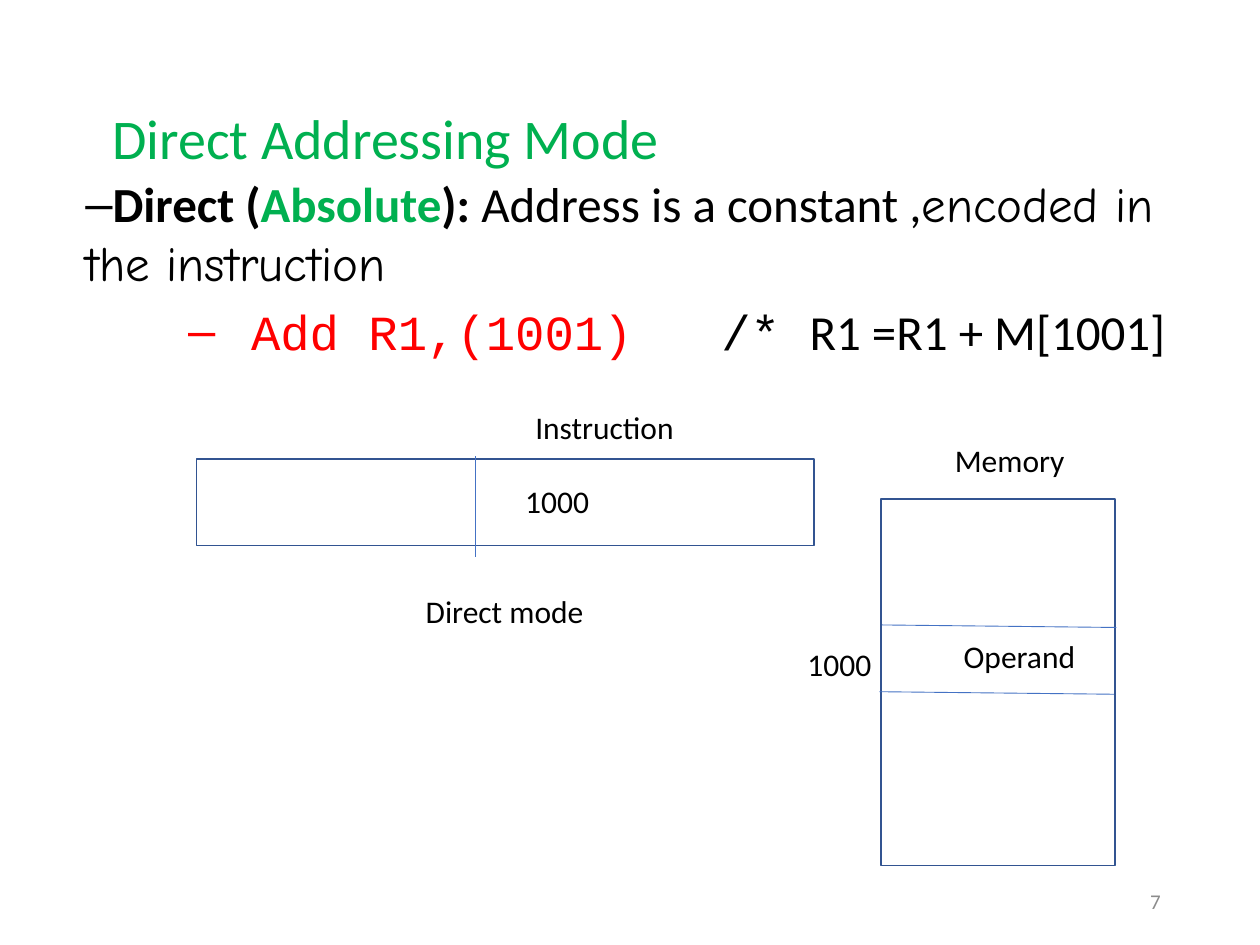
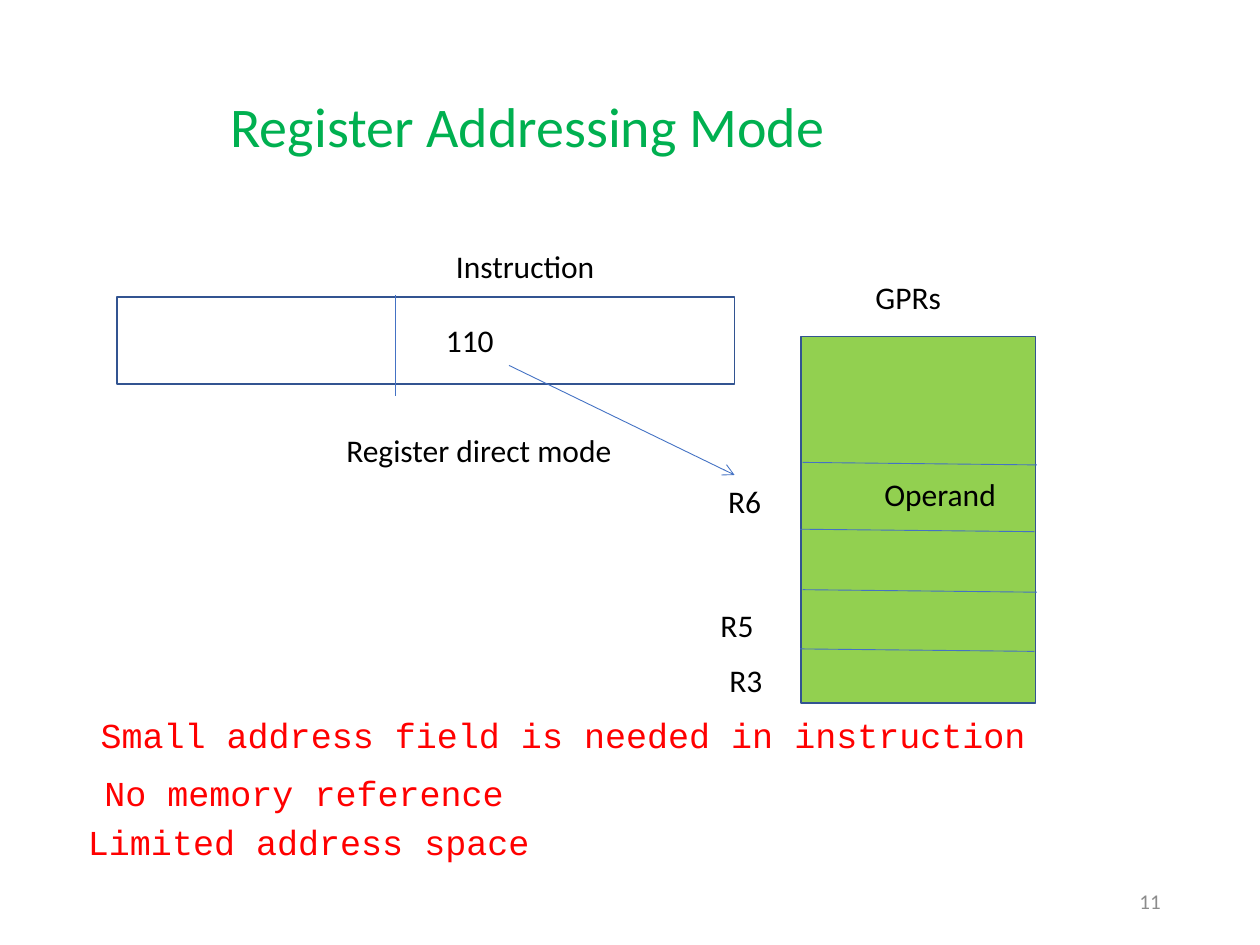
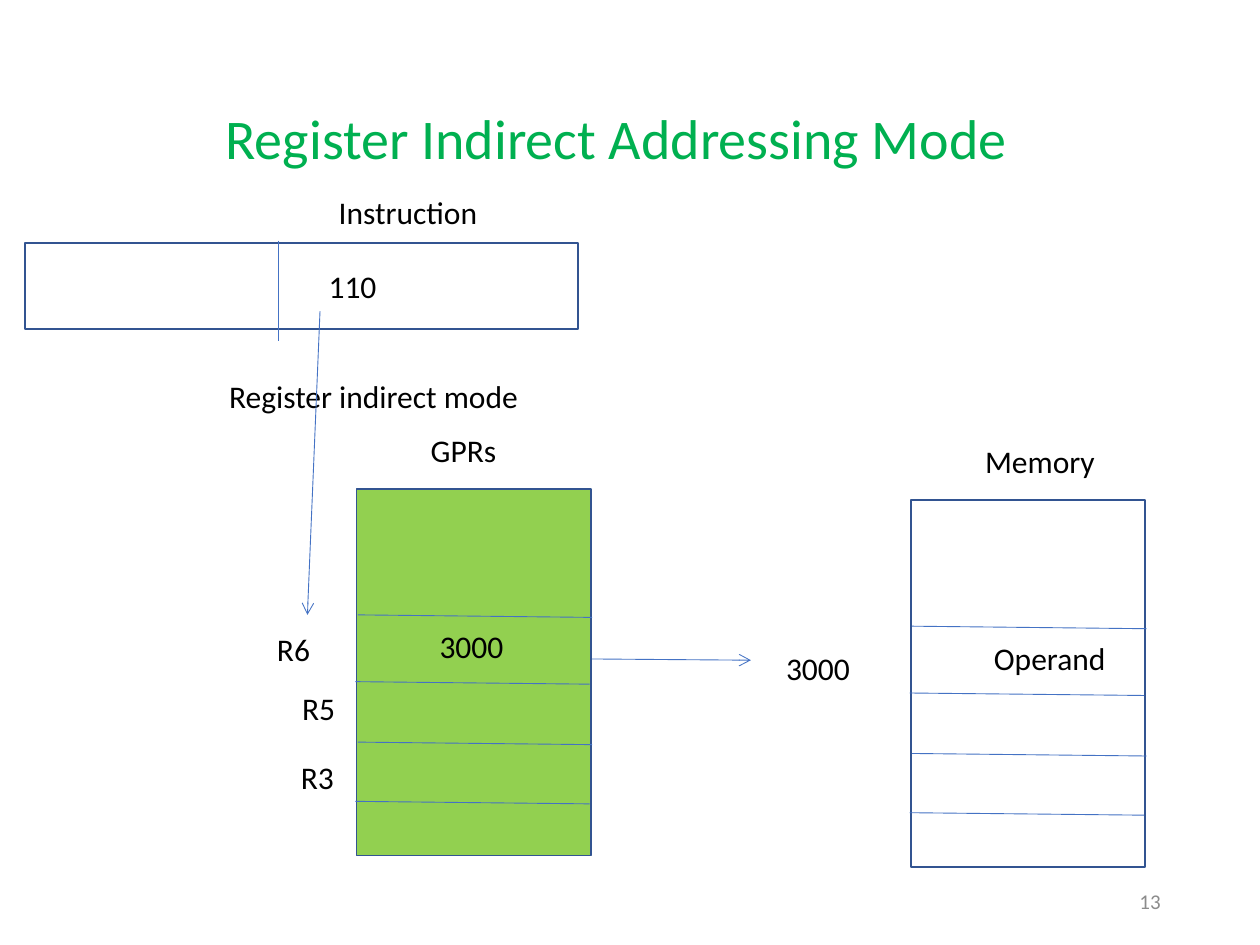
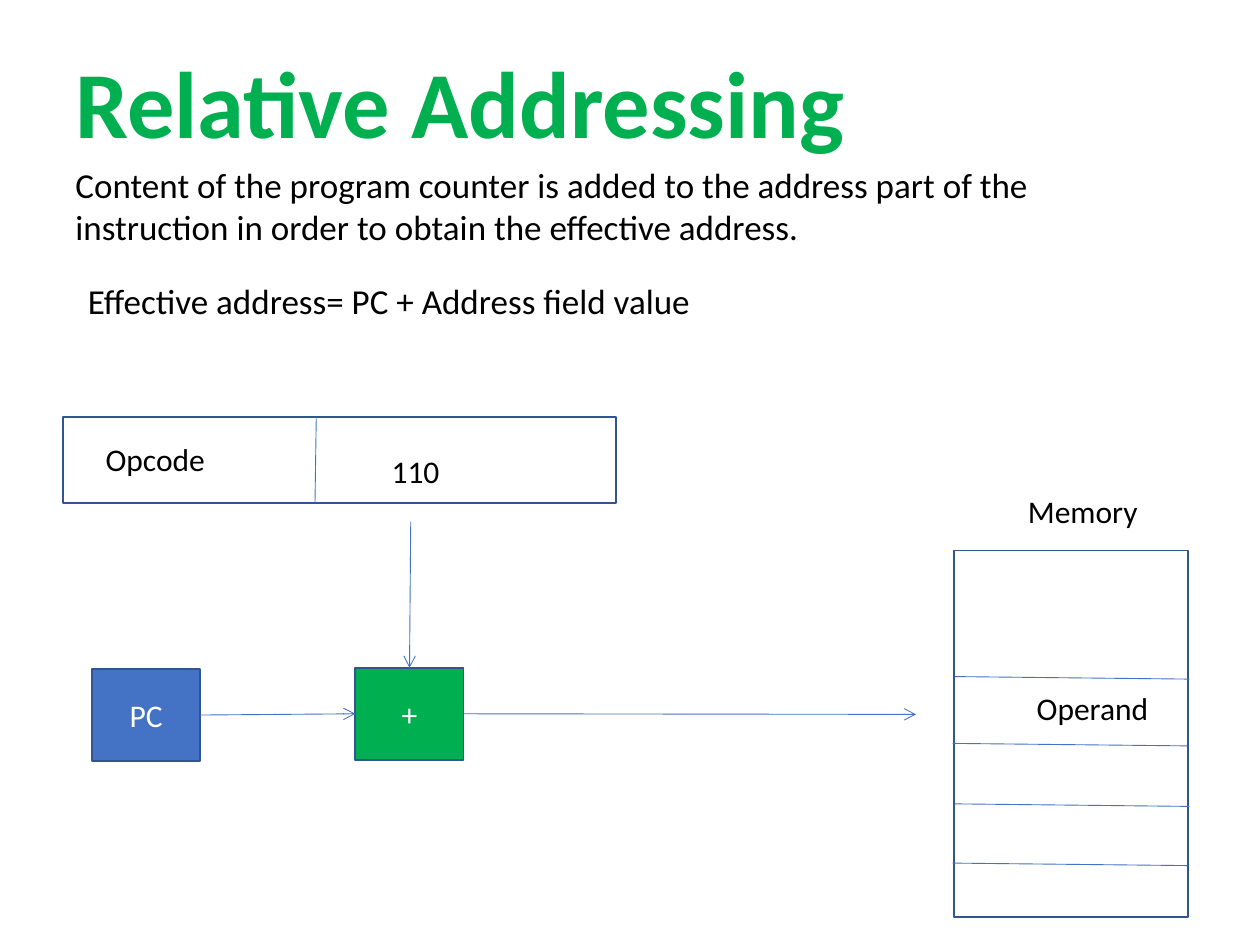
from dataclasses import dataclass
from typing import Any, NamedTuple, Optional

from lxml.etree import SubElement
from pptx import Presentation
from pptx.dml.color import RGBColor
from pptx.enum.shapes import MSO_CONNECTOR, MSO_SHAPE
from pptx.enum.text import MSO_ANCHOR as Anchor, MSO_AUTO_SIZE as AutoSize, PP_ALIGN as Align
from pptx.oxml.ns import qn
from pptx.util import Emu, Pt

EMU_PER_PX = 9144  # 100 px to the inch
BLANK_LAYOUT = 6
BLACK, WHITE, RED, GREY = "000000", "FFFFFF", "FF0000", "8C8C8C"
GREEN, LIME, BLUE, OUTLINE = "00B050", "92D050", "4472C4", "325491"
CODE_FONT = "Courier New"


class Box(NamedTuple):
    left: int
    top: int
    width: int
    height: int


class Style(NamedTuple):
    size: int = 18
    color: str = BLACK
    font: str = "Calibri"
    bold: bool = False


LABEL = Style()
TITLE = Style(32, GREEN)
BIG_TITLE = Style(54, GREEN, bold=True)
BODY = Style(20)
NOTE = Style(20, RED, CODE_FONT)
PAGE_NUMBER = Style(12, GREY)
LEAD = Style(28)


@dataclass
class Instruction:
    box: Box
    divider: int
    value: str
    value_width: int
    mode: str


@dataclass
class Storage:
    """A column of memory cells or registers."""
    left: int
    top: int
    heading: str
    cell: str
    fill: str = WHITE
    dividers: tuple[int, ...] = (100, 153, 201, 248)


def px(length: int) -> Emu:
    return Emu(length * EMU_PER_PX)


def rgb(color: str) -> RGBColor:
    return RGBColor.from_string(color)


def set_values(target: Any, values: dict[str, Any]) -> None:
    for name, value in values.items():
        setattr(target, name, value)


def add_run(paragraph: Any, text: str, style: Style) -> None:
    run = paragraph.add_run()
    run.text = text
    set_values(run.font, {"size": Pt(style.size), "name": style.font, "bold": style.bold})
    run.font.color.rgb = rgb(style.color)


def add_text(slide: Any, box: Box, text: str, style: Style = LABEL,
             frame_values: Optional[dict[str, Any]] = None,
             paragraph_values: Optional[dict[str, Any]] = None) -> Any:
    frame = slide.shapes.add_textbox(*map(px, box)).text_frame
    set_values(frame, {"word_wrap": True, **(frame_values or {})})
    paragraph = frame.paragraphs[0]
    set_values(paragraph, paragraph_values or {})
    if text:
        add_run(paragraph, text, style)
    return frame


def add_label(slide: Any, left: int, top: int, text: str, width: int, wrap: bool = False) -> None:
    add_text(slide, Box(left, top, width, 40), text,
             frame_values={"word_wrap": wrap, "auto_size": AutoSize.SHAPE_TO_FIT_TEXT})


def add_title(slide: Any, box: Box, text: str, style: Style = TITLE, indent: int = 0) -> None:
    add_text(slide, box, text, style,
             {"vertical_anchor": Anchor.MIDDLE, "margin_left": px(10 + indent)},
             {"line_spacing": 0.9})


def add_page_number(slide: Any, number: int) -> None:
    add_text(slide, Box(706, 695, 225, 40), str(number), PAGE_NUMBER,
             {"vertical_anchor": Anchor.MIDDLE}, {"alignment": Align.RIGHT})


def add_rectangle(slide: Any, box: Box, fill: str = WHITE, text: str = "") -> Any:
    shape = slide.shapes.add_shape(MSO_SHAPE.RECTANGLE, *map(px, box))
    shape.shadow.inherit = False
    shape.fill.solid()
    shape.fill.fore_color.rgb = rgb(fill)
    shape.line.color.rgb = rgb(OUTLINE)
    shape.line.width = Pt(1)
    if text:
        shape.text_frame.vertical_anchor = Anchor.MIDDLE
        paragraph = shape.text_frame.paragraphs[0]
        paragraph.alignment = Align.CENTER
        add_run(paragraph, text, Style(color=WHITE))
    return shape


def add_line(slide: Any, start: tuple[int, int], end: tuple[int, int], arrow: bool = False) -> Any:
    line = slide.shapes.add_connector(MSO_CONNECTOR.STRAIGHT, *map(px, start + end))
    line.line.color.rgb = rgb(BLUE)
    line.line.width = Pt(0.5)
    if arrow:
        SubElement(line.line._get_or_add_ln(), qn("a:tailEnd"), type="arrow")
    SubElement(line._element.spPr, qn("a:effectLst"))
    return line


def add_instruction(slide: Any, instruction: Instruction) -> None:
    box = instruction.box
    divider = box.left + instruction.divider
    add_rectangle(slide, box)
    add_line(slide, (divider, box.top - 2), (divider, box.top + 78))
    add_label(slide, divider + 30, box.top + 14, instruction.value, instruction.value_width)
    add_label(slide, divider + 38, box.top - 45, "Instruction", 147, wrap=True)
    add_label(slide, divider - 49, box.top + 101, instruction.mode, 251, wrap=True)


def add_storage(slide: Any, storage: Storage) -> None:
    left, top = storage.left, storage.top
    add_rectangle(slide, Box(left, top, 186, 291), storage.fill)
    for index, offset in enumerate(storage.dividers):
        start = left + (-1 if index % 2 else 1)
        add_line(slide, (start, top + offset), (start + 186, top + offset + 2))
    add_label(slide, left + 56, top + 105, storage.cell, 110, wrap=True)
    add_label(slide, left + 49, top - 51, storage.heading, 114 if storage.heading == "Memory" else 73)


def add_bullet(paragraph: Any, margin: int) -> None:
    paragraph.level = 1
    properties = paragraph._p.get_or_add_pPr()
    properties.set("marL", str(px(margin)))
    properties.set("indent", str(px(-31)))
    SubElement(properties, qn("a:buFont"), typeface="Arial")
    SubElement(properties, qn("a:buChar"), char="–")


def build_direct(slide: Any) -> None:
    add_title(slide, Box(69, 40, 862, 145), "Direct Addressing Mode", indent=10)
    frame = add_text(slide, Box(58, 133, 908, 575), "")
    definition, example = frame.paragraphs[0], frame.add_paragraph()
    add_bullet(definition, 0)
    add_bullet(example, 81)
    set_values(example, {"alignment": Align.CENTER, "space_before": Pt(5.6)})
    strong = LEAD._replace(bold=True)
    code = LEAD._replace(font=CODE_FONT)
    for paragraph, text, style in (
        (definition, "Direct (", strong),
        (definition, "Absolute", strong._replace(color=GREEN)),
        (definition, "): ", strong),
        (definition, "Address is a constant ,", LEAD),
        (definition, "encoded in the instruction", LEAD._replace(font="Comic Neue")),
        (example, "\tAdd R1,(1001)", code._replace(color=RED)),
        (example, "\t /* ", code),
        (example, "R1 =R1 + M[1001]", LEAD),
    ):
        add_run(paragraph, text, style)
    add_storage(slide, Storage(699, 396, "Memory", "Operand", dividers=(100, 153)))
    add_instruction(slide, Instruction(Box(156, 364, 490, 69), 221, "1000", 72, "Direct mode"))
    add_label(slide, 631, 507, "1000", 72)
    add_page_number(slide, 7)


def build_register(slide: Any) -> None:
    add_title(slide, Box(73, 30, 862, 145), "Register Addressing Mode", indent=100)
    add_storage(slide, Storage(636, 267, "GPRs", "Operand", LIME))
    add_instruction(slide, Instruction(Box(93, 236, 490, 69), 221, "110", 60, "Register direct mode"))
    for left, top, register in ((568, 378, "R6"), (562, 476, "R5"), (569, 520, "R3")):
        add_label(slide, left, top, register, 47)
    add_line(slide, (404, 290), (583, 377), arrow=True)
    for left, top, note in (
        (70, 561, "Small address field is needed in instruction"),
        (73, 607, "No memory reference"),
        (60, 646, "Limited address space"),
    ):
        add_text(slide, Box(left, top, 900, 44), note, NOTE, paragraph_values={"alignment": Align.JUSTIFY})
    add_page_number(slide, 11)


def build_register_indirect(slide: Any) -> None:
    add_title(slide, Box(69, 40, 862, 145), "Register Indirect Addressing Mode", indent=100)
    add_storage(slide, Storage(283, 388, "GPRs", "3000", LIME))
    add_instruction(slide, Instruction(Box(20, 193, 439, 68), 201, "110", 60, "Register indirect mode"))
    for left, top, register in ((210, 495, "R6"), (230, 542, "R5"), (229, 597, "R3")):
        add_label(slide, left, top, register, 47)
    add_line(slide, (254, 247), (244, 488), arrow=True)
    add_storage(slide, Storage(723, 397, "Memory", "Operand"))
    add_label(slide, 614, 510, "3000", 77)
    add_line(slide, (470, 523), (596, 524), arrow=True)
    add_page_number(slide, 13)


def build_relative(slide: Any) -> None:
    add_title(slide, Box(50, 30, 900, 112), "Relative Addressing", BIG_TITLE)
    add_text(slide, Box(50, 125, 883, 77),
             "Content of the program counter is added to the address part of the "
             "instruction in order to obtain the effective address.", BODY)
    add_text(slide, Box(60, 217, 883, 44), "Effective address= PC + Address field value", BODY)
    add_rectangle(slide, Box(50, 331, 439, 68))
    add_line(slide, (251, 332), (250, 399))
    add_label(slide, 74, 344, "Opcode", 106)
    add_label(slide, 301, 354, "110", 60)
    add_storage(slide, Storage(757, 437, "Memory", "Operand"))
    counter = add_rectangle(slide, Box(73, 531, 86, 73), BLUE, "PC")
    adder = add_rectangle(slide, Box(282, 530, 86, 73), GREEN, "+")
    add_line(slide, (326, 414), (326, 529), arrow=True).end_connect(adder, 0)
    add_line(slide, (368, 566), (727, 567), arrow=True).begin_connect(adder, 3)
    counter_to_adder = add_line(slide, (159, 568), (282, 566), arrow=True)
    counter_to_adder.begin_connect(counter, 3)
    counter_to_adder.end_connect(adder, 1)


def main() -> None:
    presentation = Presentation()
    set_values(presentation, {"slide_width": px(1000), "slide_height": px(750)})
    for build in (build_direct, build_register, build_register_indirect, build_relative):
        build(presentation.slides.add_slide(presentation.slide_layouts[BLANK_LAYOUT]))
    presentation.save("out.pptx")


if __name__ == "__main__":
    main()
